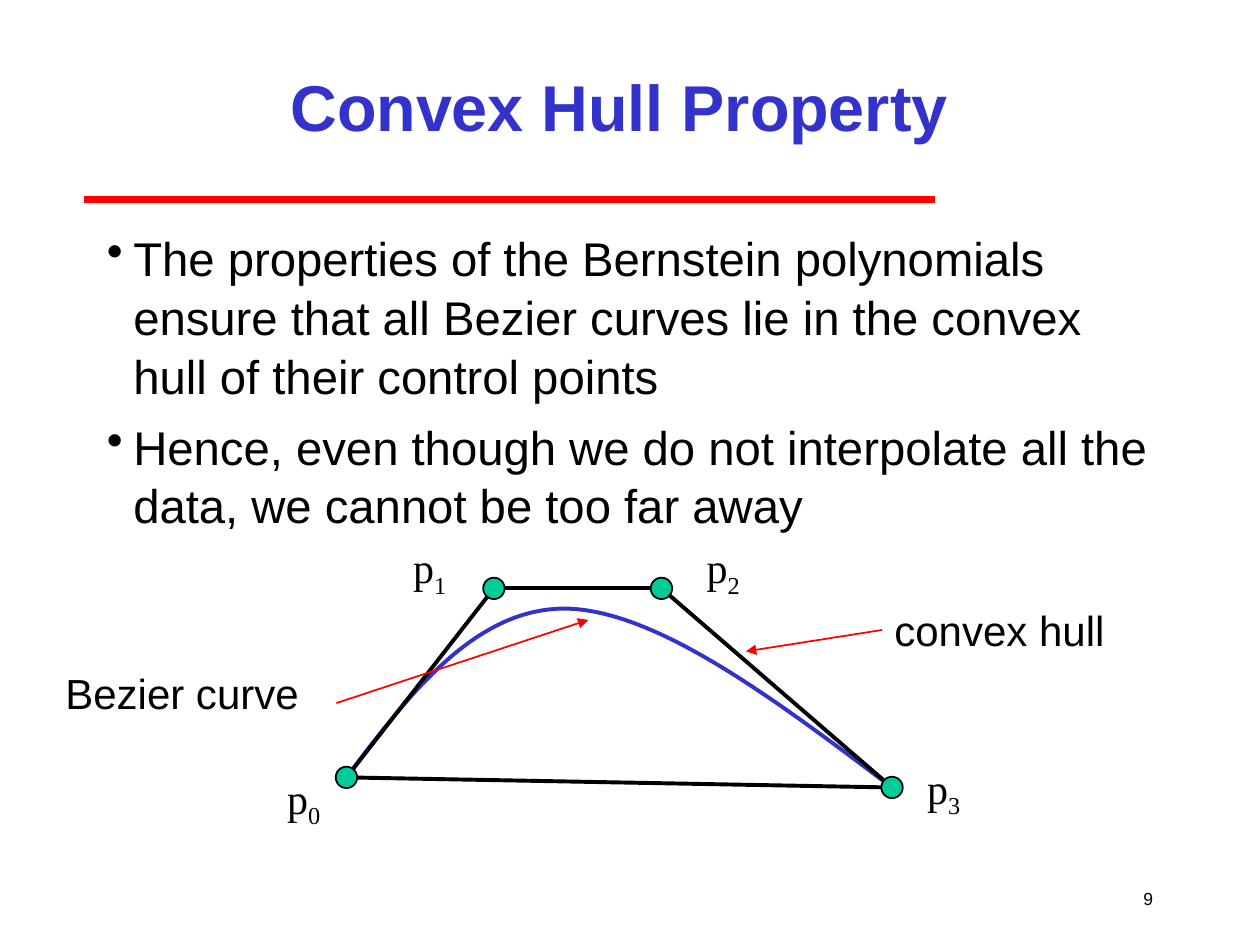
import dataclasses

import pptx
import pptx.dml.color
import pptx.enum.shapes
import pptx.enum.text
import pptx.oxml.ns
import pptx.oxml.xmlchemy
import pptx.util
from lxml import etree

Inches = pptx.util.Inches
Pt = pptx.util.Pt
qn = pptx.oxml.ns.qn
ALIGN = pptx.enum.text.PP_ALIGN
ANCHOR = pptx.enum.text.MSO_ANCHOR


@dataclasses.dataclass(frozen=True)
class Theme:
    ink: str = "000000"
    blue: str = "3333CC"
    red: str = "FF0000"
    green: str = "00CC99"
    sans: str = "Arial"
    serif: str = "Times New Roman"
    title: float = 37
    body: float = 27
    label: float = 24
    number: float = 10
    rule: float = 4
    stroke: float = 2.25
    thin: float = 1


T = Theme()


def rgb(value):
    return pptx.dml.color.RGBColor.from_string(value)


def format_run(r, size, color=T.ink, font=T.sans, bold=False):
    r.font.size = Pt(size)
    r.font.name = font
    r.font.bold = bold
    r.font.color.rgb = rgb(color)


def add_text(s, box, text, size, font=T.sans, wrap=False):
    sp = s.shapes.add_textbox(*map(Inches, box))
    tf = sp.text_frame
    tf.word_wrap = wrap
    tf.text = text
    for p in tf.paragraphs:
        for r in p.runs:
            format_run(r, size, font=font)
    return sp


def add_line(s, start, end, color, width, arrow=False):
    ends = map(Inches, (*start, *end))
    cx = s.shapes.add_connector(pptx.enum.shapes.MSO_CONNECTOR.STRAIGHT, *ends)
    cx.line.color.rgb = rgb(color)
    cx.line.width = Pt(width)
    if arrow:
        ln = cx.line._get_or_add_ln()
        etree.SubElement(ln, qn("a:tailEnd"), type="triangle")
    etree.SubElement(cx._element.spPr, qn("a:effectLst"))
    return cx


def add_title(s, box, text):
    sp = s.shapes.title
    sp.left, sp.top, sp.width, sp.height = map(Inches, box)
    tf = sp.text_frame
    tf.text = text
    tf.vertical_anchor = ANCHOR.MIDDLE
    p = tf.paragraphs[0]
    p.alignment = ALIGN.CENTER
    format_run(p.runs[0], T.title, T.blue, bold=True)


def add_bullets(s, box, items):
    sp = add_text(s, box, "\n".join(items), T.body, wrap=True)
    for p in sp.text_frame.paragraphs:
        p.line_spacing = 1.04
        p.space_before = Pt(6.8)
        pPr = p._p.get_or_add_pPr()
        pPr.set("marL", str(Inches(0.21)))
        pPr.set("indent", str(-Inches(0.21)))
        etree.SubElement(pPr, qn("a:buChar"), char="•")


def add_slide_number(s, box, text):
    tf = add_text(s, box, text, T.number).text_frame
    tf.vertical_anchor = ANCHOR.MIDDLE
    tf.paragraphs[0].alignment = ALIGN.RIGHT


def cubic(a, b, c, d, steps=30):
    for i in range(1, steps + 1):
        t = i / steps
        u = 1 - t
        yield tuple(
            u**3 * w + 3 * u * u * t * x + 3 * u * t * t * y + t**3 * z
            for w, x, y, z in zip(a, b, c, d)
        )


def add_curve(s, start, segments):
    points = []
    at = start
    for b, c, d in segments:
        points += [tuple(map(Inches, pt)) for pt in cubic(at, b, c, d)]
        at = d
    builder = s.shapes.build_freeform(*map(Inches, start))
    builder.add_line_segments(points, close=False)
    sp = builder.convert_to_shape()
    sp.shadow.inherit = False
    sp.fill.background()
    sp.line.color.rgb = rgb(T.blue)
    sp.line.width = Pt(T.stroke)


def add_dot(s, center, size=0.17):
    x, y = center
    box = (x - size / 2, y - size / 2, size, size)
    sp = s.shapes.add_shape(pptx.enum.shapes.MSO_SHAPE.OVAL, *map(Inches, box))
    sp.shadow.inherit = False
    sp.fill.solid()
    sp.fill.fore_color.rgb = rgb(T.green)
    sp.line.color.rgb = rgb(T.ink)
    sp.line.width = Pt(T.thin)


def add_point_label(s, corner, index):
    sp = add_text(s, (*corner, 0.46, 0.56), "p", T.label, T.serif)
    r = sp.text_frame.paragraphs[0].add_run()
    r.text = str(index)
    format_run(r, T.label, font=T.serif)
    r.font._element.set("baseline", "-25000")


def add_hull_diagram(s, box):
    left, top = box

    def at(x, y):
        return left + x, top + y

    points = [at(2.33, 1.92), at(3.5, 0.42), at(4.83, 0.42), at(6.66, 2)]
    label_corners = [at(1.76, 1.83), at(2.76, 0), at(5.09, 0), at(6.84, 1.75)]

    add_curve(s, points[0], [
        (at(2.84, 1.24), at(3.36, 0.57), at(4.08, 0.58)),
        (at(4.8, 0.6), at(5.73, 1.3), points[3]),
    ])
    for start, end in zip(points, points[1:] + points[:1]):
        add_line(s, start, end, T.ink, T.stroke)
    for i, (point, corner) in enumerate(zip(points, label_corners)):
        add_dot(s, point)
        add_point_label(s, corner, i)

    hull = add_text(s, (*at(6.58, 0.5), 1.87, 0.5), "convex hull", T.label)
    cx = add_line(s, at(6.58, 0.75), at(5.5, 0.92), T.red, T.thin, arrow=True)
    cx.begin_connect(hull, 1)
    add_text(s, (*at(0, 1), 2.05, 0.5), "Bezier curve", T.label)
    add_line(s, at(2.25, 1.33), at(4.25, 0.67), T.red, T.thin, arrow=True)


def main():
    prs = pptx.Presentation()
    prs.slide_width, prs.slide_height = Inches(10), Inches(7.5)
    s = prs.slides.add_slide(prs.slide_layouts[5])
    add_line(s, (0.67, 1.58), (7.42, 1.58), T.red, T.rule)
    add_slide_number(s, (8.83, 6.92, 0.42, 0.42), "9")
    add_title(s, (1.5, 0.25, 6.83, 1.17), "Convex Hull Property")
    add_bullets(s, (0.75, 1.75, 8.5, 5.17), [
        "The properties of the Bernstein polynomials ensure that all "
        "Bezier curves lie in the convex hull of their control points",
        "Hence, even though we do not interpolate all the data, "
        "we cannot be too far away",
    ])
    add_hull_diagram(s, (0.42, 4.25))
    prs.save("out.pptx")


if __name__ == "__main__":
    main()
